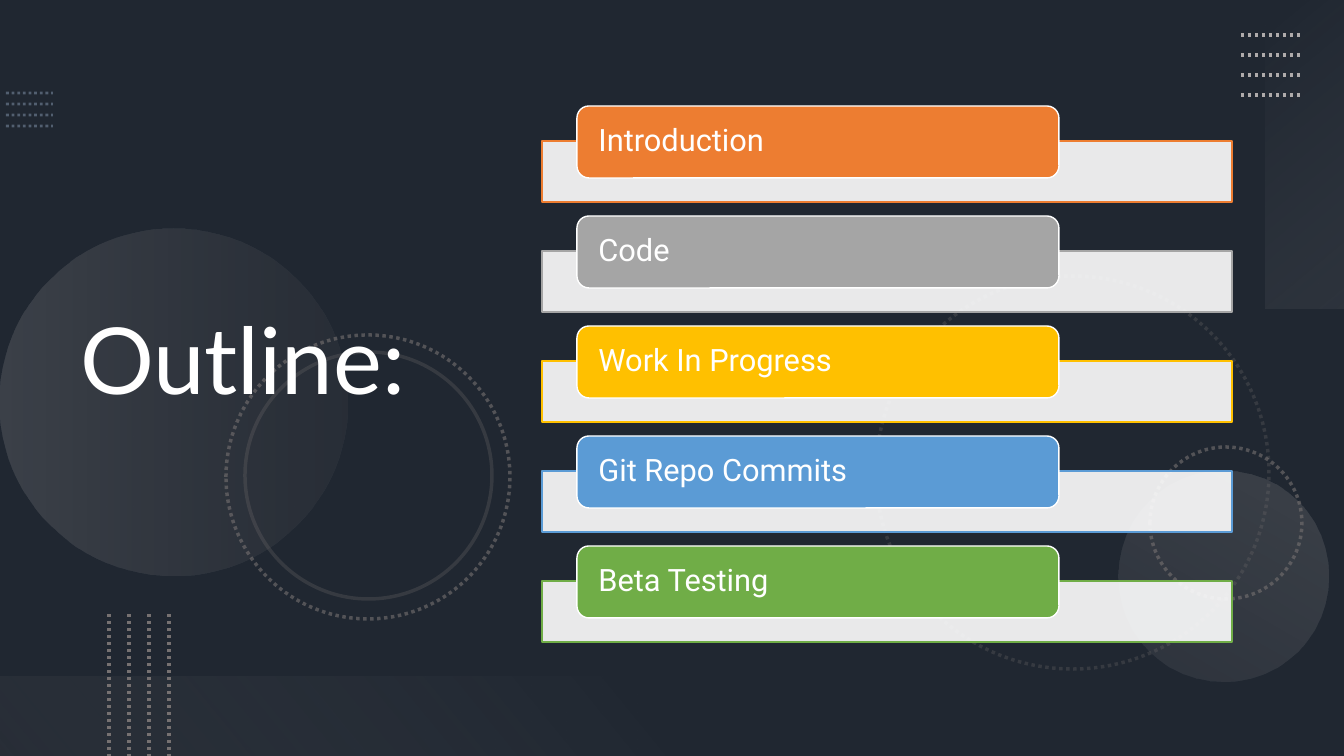
"""Build a dark outline slide with five coloured agenda bars."""
from lxml.etree import SubElement
from pptx import Presentation
from pptx.dml.color import RGBColor
from pptx.enum.dml import MSO_LINE
from pptx.enum.shapes import MSO_CONNECTOR, MSO_SHAPE
from pptx.enum.text import MSO_ANCHOR, PP_ALIGN
from pptx.oxml.ns import qn
from pptx.util import Pt

PX = 914400 / 100.8
SLATE = RGBColor(0x44, 0x54, 0x6A)
BLACK = RGBColor(0x00, 0x00, 0x00)
WHITE = RGBColor(0xFF, 0xFF, 0xFF)
STEEL = RGBColor(0x84, 0x97, 0xB0)
SILVER = RGBColor(0xAF, 0xAB, 0xAB)
DIM = RGBColor(0x76, 0x71, 0x71)
PALE = RGBColor(0xF5, 0xF5, 0xF5)
ORANGE = RGBColor(0xED, 0x7D, 0x31)
GRAY = RGBColor(0xA5, 0xA5, 0xA5)
GOLD = RGBColor(0xFF, 0xC0, 0x00)
BLUE = RGBColor(0x5B, 0x9B, 0xD5)
GREEN = RGBColor(0x70, 0xAD, 0x47)


def fade(sp, *opacities):
    """Set the opacity, in percent, of the first colours of a shape."""
    for color, opacity in zip(sp._element.spPr.iter(qn("a:srgbClr")), opacities):
        SubElement(color, qn("a:alpha"), val=str(opacity * 1000))


def add_shape(kind, box, fill=None, line=None, width=1):
    """Add a shape without shadow, given its box in px."""
    sp = s.shapes.add_shape(kind, *(round(v * PX) for v in box))
    sp.shadow.inherit = False
    for target, color in ((sp.fill, fill), (sp.line.fill, line)):
        if color is None:
            target.background()
        else:
            target.solid()
            target.fore_color.rgb = color
    if line is not None:
        sp.line.width = Pt(width)
    return sp


prs = Presentation()
prs.slide_width, prs.slide_height = round(1344 * PX), round(756 * PX)
s = prs.slides.add_slide(prs.slide_layouts[5])
s.background.fill.solid()
s.background.fill.fore_color.rgb = SLATE
fade(add_shape(MSO_SHAPE.RECTANGLE, (0, 0, 1344, 756), BLACK), 53)

GRADIENTS = [
    (MSO_SHAPE.OVAL, (0, 229, 347, 347), 270, 90, (SILVER, 20), (DIM, 10)),
    (MSO_SHAPE.OVAL, (1119, 471, 210, 210), 210, 90, (SILVER, 10), (SILVER, 20)),
    (MSO_SHAPE.RECTANGLE, (1151, 115, 308, 79), 270, 140, (PALE, 0), (SILVER, 10)),
    (MSO_SHAPE.RECTANGLE, (0, 677, 672, 79), 180, 140, (DIM, 10), (PALE, 0)),
]
for kind, box, rotation, angle, start, end in GRADIENTS:
    sp = add_shape(kind, box)
    sp.rotation = rotation
    sp.fill.gradient()
    sp.fill.gradient_angle = 360 - angle
    for stop, position, (color, _) in zip(sp.fill.gradient_stops, (0, 1), (start, end)):
        stop.color.rgb = color
        stop.position = position
    fade(sp, start[1], end[1])

RINGS = [
    (876, 276, 393, True, 25),
    (1150, 447, 152, True, 60),
    (226, 335, 284, True, 60),
    (245, 352, 247, False, 25),
]
for x, y, size, dotted, opacity in RINGS:
    sp = add_shape(MSO_SHAPE.OVAL, (x, y, size, size), line=DIM, width=2.5)
    if dotted:
        sp.line.dash_style = MSO_LINE.ROUND_DOT
    fade(sp, opacity)

DOT_GROUPS = [
    ((6, 93, 53, 93), (0, 11), STEEL, 2, 50),
    ((1241, 35, 1301, 35), (0, 20), SILVER, 2.5, 100),
    ((109, 614, 109, 756), (20, 0), DIM, 2.5, 100),
]
for (x1, y1, x2, y2), (dx, dy), color, width, opacity in DOT_GROUPS:
    for i in range(4):
        ends = (x1 + i * dx, y1 + i * dy, x2 + i * dx, y2 + i * dy)
        line = s.shapes.add_connector(MSO_CONNECTOR.STRAIGHT, *(round(v * PX) for v in ends))
        line.line.color.rgb = color
        line.line.width = Pt(width)
        line.line.dash_style = MSO_LINE.ROUND_DOT
        fade(line, opacity)
        SubElement(line._element.spPr, qn("a:effectLst"))

title = s.shapes.title
s.shapes._spTree.append(title._element)
title.left, title.top, title.width, title.height = (round(v * PX) for v in (70, 54, 463, 622))
title.text = "Outline:"
title.text_frame.vertical_anchor = MSO_ANCHOR.MIDDLE
p = title.text_frame.paragraphs[0]
p.alignment = PP_ALIGN.LEFT
p.line_spacing = 0.9
p.font.size = Pt(66)
p.font.name = "Lato"
p.font.color.rgb = WHITE

TOPICS = [
    ("Introduction", ORANGE),
    ("Code", GRAY),
    ("Work In Progress", GOLD),
    ("Git Repo Commits", BLUE),
    ("Beta Testing", GREEN),
]
for i, (topic, color) in enumerate(TOPICS):
    y = 106 + 110 * i
    bar = add_shape(MSO_SHAPE.RECTANGLE, (542, y + 35, 690, 61), WHITE, color)
    fade(bar, 90)
    label = add_shape(MSO_SHAPE.ROUNDED_RECTANGLE, (577, y, 482, 72), color, WHITE)
    tf = label.text_frame
    tf.text = topic
    tf.word_wrap = True
    tf.vertical_anchor = MSO_ANCHOR.MIDDLE
    tf.margin_left = tf.margin_right = round(18 * PX)
    tf.margin_top = tf.margin_bottom = 0
    p = tf.paragraphs[0]
    p.alignment = PP_ALIGN.LEFT
    p.line_spacing = 0.9
    p.font.size = Pt(22)
    p.font.name = "Roboto"
    p.font.color.rgb = WHITE

prs.save("out.pptx")
